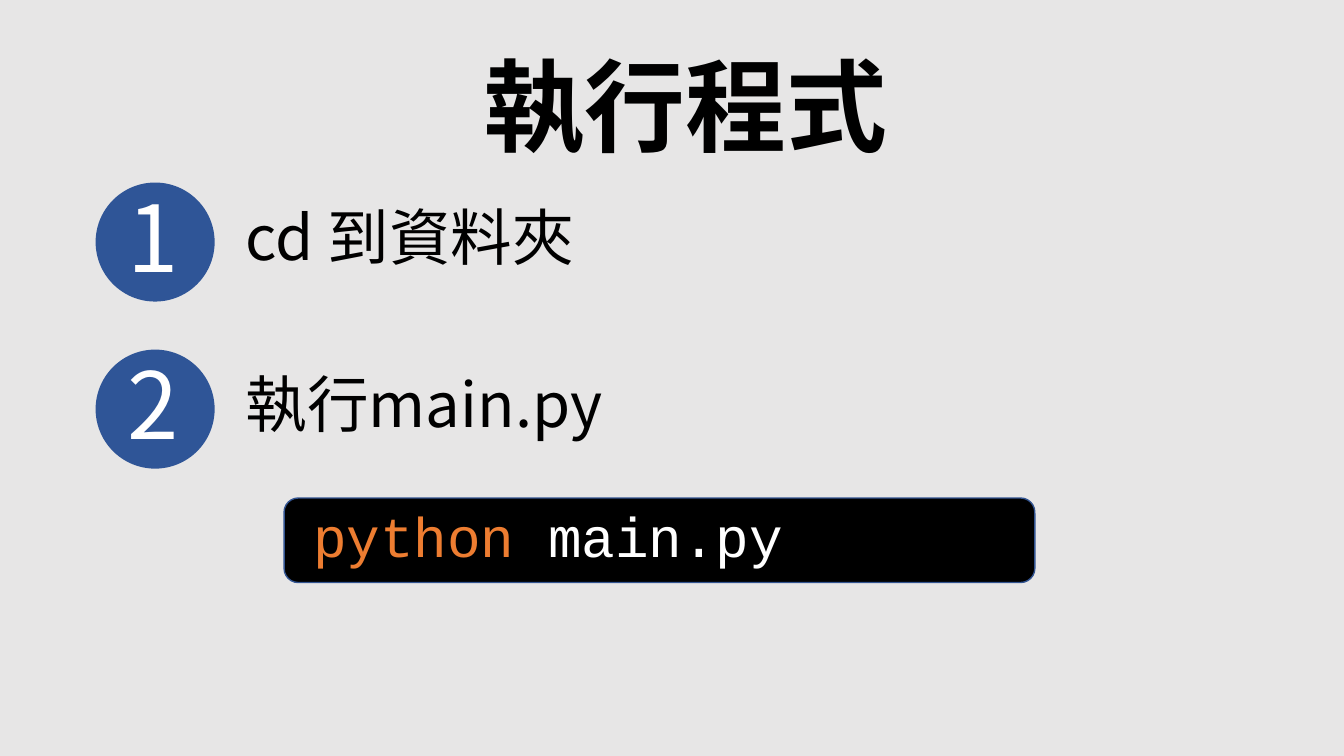
from pptx import Presentation, util as u
from pptx.dml.color import RGBColor
from pptx.enum import shapes, text
from lxml import etree

Cm = u.Cm
BACK = RGBColor(0xE7, 0xE6, 0xE6)
BLUE = RGBColor(0x2F, 0x55, 0x97)
EDGE = RGBColor(0x32, 0x54, 0x91)
ORANGE = RGBColor(0xED, 0x7D, 0x31)
BLACK = RGBColor(0, 0, 0)
WHITE = RGBColor(255, 255, 255)
SANS, MONO = "Noto Sans CJK SC", "Courier New"
A = "{http://schemas.openxmlformats.org/drawingml/2006/main}"


def add_text(s, x, y, w, h, runs, size=44, font=SANS, bold=False,
             align=text.PP_ALIGN.LEFT, anchor=text.MSO_ANCHOR.TOP,
             wrap=True, grow=True, spacing=None):
    """Add a text box; runs is a list of (words, colour), lengths are in cm."""
    tf = s.shapes.add_textbox(Cm(x), Cm(y), Cm(w), Cm(h)).text_frame
    tf.word_wrap = wrap
    tf.auto_size = (text.MSO_AUTO_SIZE.SHAPE_TO_FIT_TEXT if grow
                    else text.MSO_AUTO_SIZE.NONE)
    tf.vertical_anchor = anchor
    p = tf.paragraphs[0]
    p.alignment = align
    p.line_spacing = spacing
    for words, color in runs:
        r = p.add_run()
        r.text = words
        r.font.size, r.font.bold, r.font.name = u.Pt(size), bold, font
        r.font.color.rgb = color
        # East Asian characters take the same typeface
        latin = r.font._element.find(A + "latin")
        latin.addnext(etree.Element(A + "ea", typeface=font))


def add_filled(s, kind, x, y, w, h, fill, line=None):
    sp = s.shapes.add_shape(kind, Cm(x), Cm(y), Cm(w), Cm(h))
    sp.shadow.inherit = False
    sp.fill.solid()
    sp.fill.fore_color.rgb = fill
    if line is None:
        sp.line.fill.background()
    else:
        sp.line.color.rgb = line
        sp.line.width = u.Pt(1)


def add_title(s, x, y, w, h, words):
    add_text(s, x, y, w, h, [(words, BLACK)], size=72, bold=True, grow=False,
             align=text.PP_ALIGN.CENTER, anchor=text.MSO_ANCHOR.MIDDLE,
             spacing=0.9)


def add_step(s, x, y, size, number, words):
    """Numbered disc of the given diameter with its instruction beside it."""
    add_filled(s, shapes.MSO_SHAPE.OVAL, x, y, size, size, BLUE)
    add_text(s, x + 0.56, y - 0.18, 1.88, 3.07, [(str(number), WHITE)],
             size=66, wrap=False)
    add_text(s, x + 3.53, y + 0.29, 12.7, 2.13, [(words, BLACK)])


def add_command(s, x, y, w, h, program, argument):
    """Dark terminal bar with a coloured command."""
    add_filled(s, shapes.MSO_SHAPE.ROUNDED_RECTANGLE, x, y, w, h, BLACK, EDGE)
    add_text(s, x + 0.48, y - 0.03, w - 0.23, 1.96,
             [(program + " ", ORANGE), (argument, WHITE)], size=40, font=MONO)


prs = Presentation()
prs.slide_width, prs.slide_height = Cm(33.87), Cm(19.05)
s = prs.slides.add_slide(prs.slide_layouts[6])
s.background.fill.solid()
s.background.fill.fore_color.rgb = BACK

add_title(s, 2.67, 0.97, 29.21, 3.68, "執行程式")

# Steps, at an equal pitch down the slide
STEP_TOP, STEP_PITCH = 4.6, 4.21
for i, words in enumerate(["cd 到資料夾", "執行main.py"]):
    add_step(s, 2.41, STEP_TOP + i * STEP_PITCH, 3, i + 1, words)

add_command(s, 7.16, 12.55, 18.92, 2.13, "python", "main.py")

prs.save("out.pptx")
